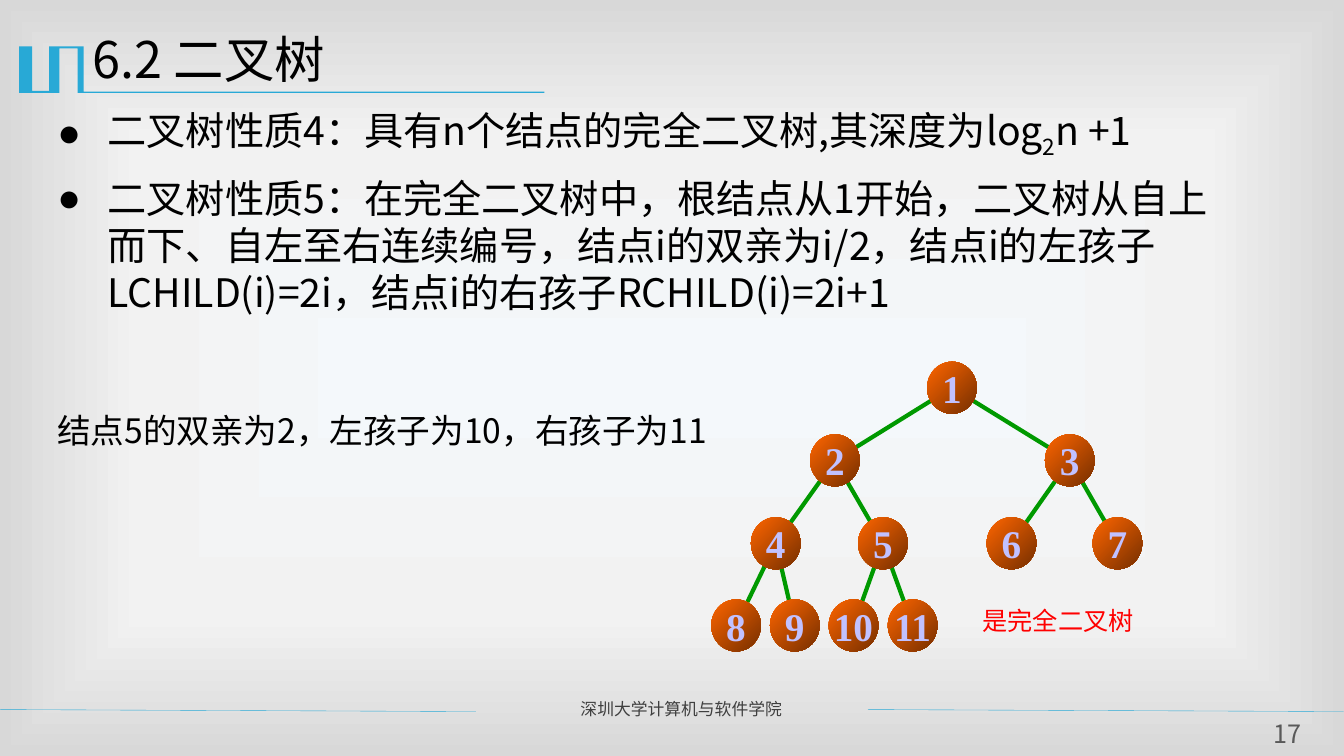
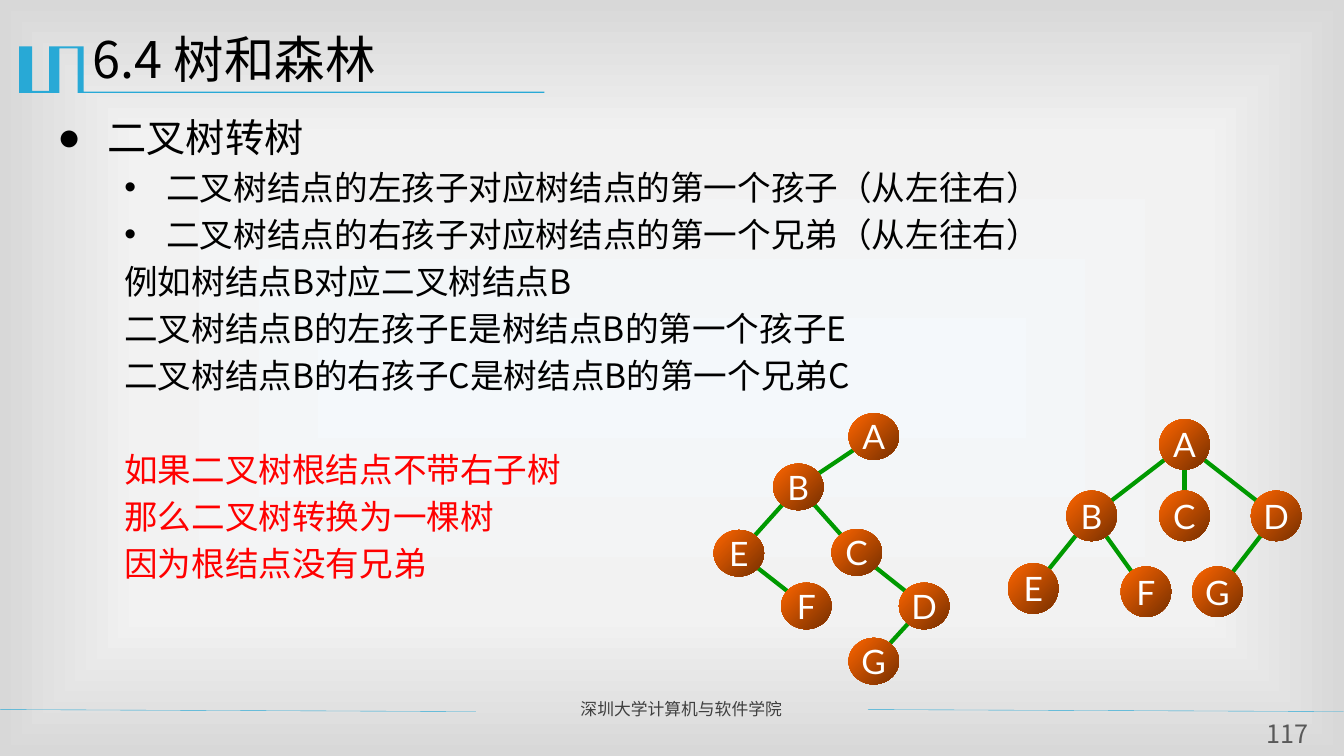
from lxml.etree import SubElement
from pptx import Presentation
from pptx.dml.color import RGBColor
from pptx.enum.shapes import MSO_CONNECTOR, MSO_SHAPE
from pptx.enum.text import MSO_ANCHOR, MSO_AUTO_SIZE, PP_ALIGN
from pptx.oxml.ns import qn
from pptx.util import Cm, Pt

# Colours and fonts
BLACK = RGBColor(0x00, 0x00, 0x00)
WHITE = RGBColor(0xFF, 0xFF, 0xFF)
RED = RGBColor(0xFF, 0x00, 0x00)
ACCENT_BLUE = RGBColor(0x28, 0xA9, 0xD6)
FOOTER_GREY = RGBColor(0x3F, 0x3F, 0x3F)
NUMBER_GREY = RGBColor(0x59, 0x59, 0x59)
EDGE_GREEN = RGBColor(0x00, 0x99, 0x00)
NODE_ORANGE = RGBColor(0xFF, 0x66, 0x00)
NODE_BROWN = RGBColor(0x76, 0x2F, 0x00)
NODE_LILAC = RGBColor(0xC1, 0xC1, 0xFF)
BACKGROUND_STOPS = [(0, "F4F8FB"), (63, "F2F2F2"), (100, "D8D8D8")]
CJK = "Noto Sans CJK SC"
SERIF = "Times New Roman"
SANS = "Lato"

# Outline of the emblem and title rule, in cm
EMBLEM = [(2.08, 1.17), (2.11, 1.17), (2.11, 2.31), (13.72, 2.31), (13.72, 2.34),
          (1.96, 2.34), (1.96, 1.22), (1.5, 1.22), (1.5, 2.34), (0.48, 2.34),
          (0.48, 1.17), (0.81, 1.17), (0.81, 2.29), (1.24, 2.29), (1.24, 1.17)]

# Trees: label -> (parent, centre x, centre y) in cm
LEVEL_Y = [9.77, 11.6, 13.69, 15.76]
NUMBERED_X = [23.99, 21.04, 26.96, 19.55, 22.25, 25.49, 28.16,
              18.55, 20.03, 21.51, 23]
NUMBERED_TREE = {
    str(i): (str(i // 2), x, LEVEL_Y[i.bit_length() - 1])
    for i, x in enumerate(NUMBERED_X, start=1)
}
BINARY_TREE = {
    "A": (None, 22.02, 11), "B": ("A", 20.12, 12.27), "E": ("B", 18.62, 13.94),
    "C": ("B", 21.59, 13.92), "F": ("E", 20.32, 15.27),
    "D": ("C", 23.29, 15.27), "G": ("D", 22.02, 16.66),
}
GENERAL_TREE = {
    "A": (None, 29.85, 11.2), "B": ("A", 27.51, 13), "C": ("A", 29.85, 13),
    "D": ("A", 32.16, 13), "E": ("B", 26.04, 14.83),
    "F": ("B", 28.88, 14.91), "G": ("D", 30.68, 14.91),
}


# Text
def add_run(paragraph, text, size, color=BLACK, font=CJK, bold=False, baseline=0):
    run = paragraph.add_run()
    run.text = text
    run.font.size = Pt(size)
    run.font.bold = bold
    run.font.color.rgb = color
    run.font.name = font
    properties = run.font._element
    SubElement(properties, qn("a:ea")).set("typeface", font)
    if baseline:
        properties.set("baseline", str(baseline * 1000))


def add_text(slide, box, text, size, color, align=PP_ALIGN.LEFT, margin=0.25):
    shape = slide.shapes.add_textbox(*map(Cm, box))
    frame = shape.text_frame
    frame.word_wrap = True
    frame.margin_left = frame.margin_right = Cm(margin)
    paragraph = frame.paragraphs[0]
    paragraph.alignment = align
    add_run(paragraph, text, size, color)
    return shape


def set_indent(paragraph, left, hanging=0, bullet=None):
    properties = paragraph._p.get_or_add_pPr()
    properties.set("marL", str(Cm(left)))
    properties.set("indent", str(-Cm(hanging)))
    if bullet:
        SubElement(properties, qn("a:buFont")).set("typeface", "Arial")
        SubElement(properties, qn("a:buChar")).set("char", bullet)
    else:
        SubElement(properties, qn("a:buNone"))


def add_item(frame, runs, size=24, color=BLACK, before=4.8, left=0, hanging=0,
             bullet=None):
    """Add one body paragraph; runs are (text, baseline) pairs or one text."""
    first = not frame.paragraphs[0].runs
    paragraph = frame.paragraphs[0] if first else frame.add_paragraph()
    set_indent(paragraph, left, hanging, bullet)
    paragraph.line_spacing = Pt(size * 1.2)
    paragraph.space_before = Pt(0 if first else before)
    for text, baseline in [(runs, 0)] if isinstance(runs, str) else runs:
        add_run(paragraph, text, size, color, baseline=baseline)


def add_main_item(frame, runs, before=10):
    add_item(frame, runs, 28, before=before, left=1.27, hanging=1.27, bullet="●")


# Lines and trees
def add_line(slide, start, end, color, width):
    line = slide.shapes.add_connector(
        MSO_CONNECTOR.STRAIGHT, *map(Cm, start), *map(Cm, end))
    line.line.color.rgb = color
    line.line.width = Pt(width)
    SubElement(line.element.spPr, qn("a:effectLst"))
    return line


def add_node(slide, label, center, size, text_style):
    (x, y), (width, height) = center, size
    node = slide.shapes.add_shape(
        MSO_SHAPE.OVAL, Cm(x - width / 2), Cm(y - height / 2), Cm(width), Cm(height))
    node.shadow.inherit = False
    node.line.fill.background()
    node.fill.gradient()
    node.fill.gradient_angle = 315
    for stop, color in zip(node.fill.gradient_stops, (NODE_ORANGE, NODE_BROWN)):
        stop.color.rgb = color
    frame = node.text_frame
    frame.word_wrap = False
    frame.margin_left = frame.margin_right = 0
    frame.vertical_anchor = MSO_ANCHOR.MIDDLE
    paragraph = frame.paragraphs[0]
    paragraph.alignment = PP_ALIGN.CENTER
    add_run(paragraph, label, **text_style)


def add_tree(slide, tree, size, text_style):
    for parent, x, y in tree.values():
        if parent in tree:
            add_line(slide, tree[parent][1:], (x, y), EDGE_GREEN, 3)
    for label, (_, x, y) in tree.items():
        add_node(slide, label, (x, y), size, text_style)


# Shared template
def set_background(master):
    master.background.fill.gradient()
    gradient = master.element.find(".//" + qn("p:bg")).find(".//" + qn("a:gradFill"))
    for child in list(gradient):
        gradient.remove(child)
    stops = SubElement(gradient, qn("a:gsLst"))
    for position, color in BACKGROUND_STOPS:
        stop = SubElement(stops, qn("a:gs"))
        stop.set("pos", str(position * 1000))
        SubElement(stop, qn("a:srgbClr")).set("val", color)
    shade = SubElement(gradient, qn("a:path"))
    shade.set("path", "rect")
    focus = SubElement(shade, qn("a:fillToRect"))
    for side in "ltrb":
        focus.set(side, "50000")


def place(shape, box):
    shape.left, shape.top, shape.width, shape.height = map(Cm, box)


def add_emblem(slide):
    points = [(Cm(x), Cm(y)) for x, y in EMBLEM]
    builder = slide.shapes.build_freeform(*points[0])
    builder.add_line_segments(points[1:], close=True)
    emblem = builder.convert_to_shape()
    emblem.shadow.inherit = False
    emblem.fill.solid()
    emblem.fill.fore_color.rgb = ACCENT_BLUE
    emblem.line.fill.background()
    return emblem


def decorate_layout(layout, slide):
    """Draw the emblem and footer, then hand them over to the layout."""
    shapes = [
        add_emblem(slide),
        add_line(slide, (0, 17.88), (11.99, 17.93), ACCENT_BLUE, 0.25),
        add_line(slide, (21.87, 17.88), (33.86, 17.93), ACCENT_BLUE, 0.25),
        add_text(slide, (14.38, 17.47, 7.24, 0.76), "深圳大学计算机与软件学院",
                 12, FOOTER_GREY),
    ]
    tree = layout.element.find(".//" + qn("p:spTree"))
    for number, shape in enumerate(shapes, start=20):
        shape.element.find(".//" + qn("p:cNvPr")).set("id", str(number))
        tree.append(shape.element)


def add_slide(presentation, layout, title, number):
    slide = presentation.slides.add_slide(layout)
    frame = slide.shapes.title.text_frame
    frame.vertical_anchor = MSO_ANCHOR.MIDDLE
    frame.auto_size = MSO_AUTO_SIZE.NONE
    frame.paragraphs[0].alignment = PP_ALIGN.LEFT
    add_run(frame.paragraphs[0], title, 36)
    body = slide.placeholders[1].text_frame
    body.auto_size = MSO_AUTO_SIZE.NONE
    body.vertical_anchor = MSO_ANCHOR.TOP
    add_text(slide, (31.7, 17.98, 1.5, 0.79), number, 18, NUMBER_GREY,
             PP_ALIGN.CENTER, margin=0)
    return slide, body


# Slides
def fill_properties_slide(slide, body):
    add_main_item(body, [("二叉树性质4：具有n个结点的完全二叉树,其深度为log", 0),
                         ("2", -25), ("n +1", 0)])
    add_main_item(body, "二叉树性质5：在完全二叉树中，根结点从1开始，二叉树从自"
                        "上而下、自左至右连续编号，结点i的双亲为i/2，结点i的左孩"
                        "子LCHILD(i)=2i，结点i的右孩子RCHILD(i)=2i+1")
    add_item(body, "结点5的双亲为2，左孩子为10，右孩子为11", before=68)
    add_tree(slide, NUMBERED_TREE, (1.25, 1.31),
             {"size": 28, "color": NODE_LILAC, "font": SERIF, "bold": True})
    add_text(slide, (24.51, 15.12, 4.6, 0.94), "是完全二叉树", 18, RED)


def fill_conversion_slide(slide, body):
    add_main_item(body, "二叉树转树")
    for text in ("二叉树结点的左孩子对应树结点的第一个孩子（从左往右）",
                 "二叉树结点的右孩子对应树结点的第一个兄弟（从左往右）"):
        add_item(body, text, left=2.75, hanging=1.06, bullet="•")
    for text in ("例如树结点B对应二叉树结点B",
                 "二叉树结点B的左孩子E是树结点B的第一个孩子E",
                 "二叉树结点B的右孩子C是树结点B的第一个兄弟C"):
        add_item(body, text, left=1.69)
    add_item(body, "如果二叉树根结点不带右子树", color=RED, before=38.4, left=1.69)
    for text in ("那么二叉树转换为一棵树", "因为根结点没有兄弟"):
        add_item(body, text, color=RED, left=1.69)
    letter_style = {"size": 24, "color": WHITE, "font": SANS}
    add_tree(slide, BINARY_TREE, (1.27, 1.17), letter_style)
    add_tree(slide, GENERAL_TREE, (1.27, 1.27), letter_style)


def main():
    presentation = Presentation()
    presentation.slide_width, presentation.slide_height = Cm(33.87), Cm(19.05)
    set_background(presentation.slide_master)
    layout = presentation.slide_layouts[1]
    place(layout.placeholders[0], (2.08, 0.36, 30.48, 2.21))
    place(layout.placeholders[1], (1.19, 2.72, 29.95, 12.5))

    slide, body = add_slide(presentation, layout, "6.2 二叉树", "17")
    decorate_layout(layout, slide)
    fill_properties_slide(slide, body)

    slide, body = add_slide(presentation, layout, "6.4 树和森林", "117")
    fill_conversion_slide(slide, body)

    presentation.save("out.pptx")


if __name__ == "__main__":
    main()
